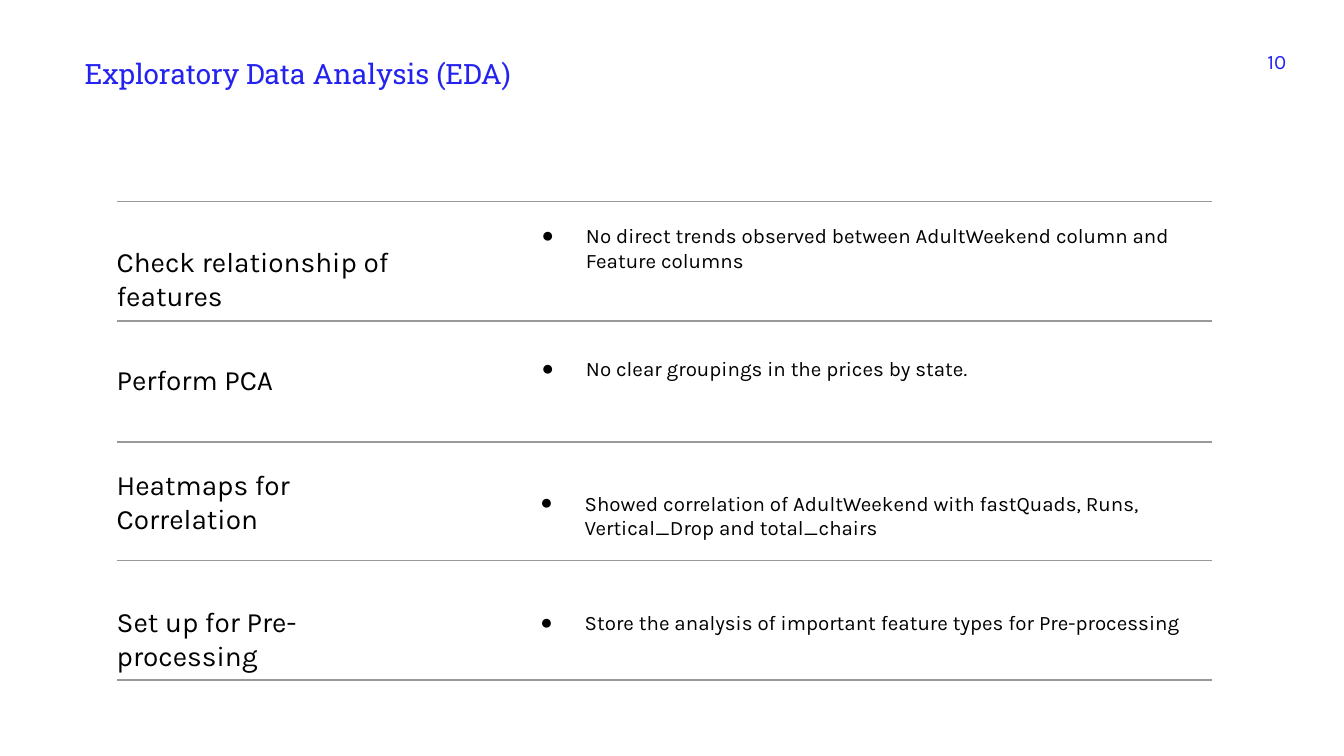
import dataclasses

import pptx
import pptx.dml.color
import pptx.enum.shapes
import pptx.enum.text
import pptx.oxml.ns
import pptx.util
from lxml import etree

Inches = pptx.util.Inches
Pt = pptx.util.Pt
Align = pptx.enum.text.PP_ALIGN
qn = pptx.oxml.ns.qn


@dataclasses.dataclass(frozen=True)
class Theme:
    head: str = "Roboto Slab"
    body: str = "Karla"
    dot: str = "Arial"
    blue: str = "2322EF"
    ink: str = "000000"
    rule: str = "999999"
    large: float = 15
    small: float = 11
    thin: float = 0.75


THEME = Theme()

# Label, label top, finding, finding box (left, top, width, height)
STEPS = [
    ("Check relationship of features", 1.72,
     "No direct trends observed between AdultWeekend column and Feature columns",
     (3.76, 1.56, 5.26, 0.77)),
    ("Perform PCA", 2.6,
     "No clear groupings in the prices by state.",
     (3.76, 2.55, 5.26, 0.58)),
    ("Heatmaps for Correlation", 3.38,
     "Showed correlation of AdultWeekend with fastQuads, Runs, "
     "Vertical_Drop and total_chairs",
     (3.75, 3.55, 5.26, 0.36)),
    ("Set up for Pre-processing", 4.4,
     "Store the analysis of important feature types for Pre-processing",
     (3.75, 4.44, 5.26, 0.34)),
]
RULES = (1.5, 2.39, 3.29, 4.17, 5.06)


def color(code):
    return pptx.dml.color.RGBColor.from_string(code)


def write(shape, box, text, size, tint=THEME.ink, font=THEME.body,
          align=Align.LEFT):
    """Place a text shape, then fill and format its one paragraph."""
    shape.left, shape.top, shape.width, shape.height = map(Inches, box)
    frame = shape.text_frame
    frame.text = text
    frame.word_wrap = True
    frame.auto_size = pptx.enum.text.MSO_AUTO_SIZE.NONE
    frame.vertical_anchor = pptx.enum.text.MSO_ANCHOR.TOP
    frame.margin_left = frame.margin_right = Inches(0.1)
    frame.margin_top = frame.margin_bottom = Inches(0.1)
    para = frame.paragraphs[0]
    para.alignment = align
    para.space_before = Pt(0)
    for run in para.runs:
        run.font.name = font
        run.font.size = Pt(size)
        run.font.bold = False
        run.font.color.rgb = color(tint)
    return para


def add_text(slide, box, *args, **style):
    shape = slide.shapes.add_textbox(*map(Inches, box))
    write(shape, box, *args, **style)


def add_dot(para):
    """Give a paragraph a round bullet and a hanging indent."""
    props = para._p.get_or_add_pPr()
    props.set("marL", str(Inches(0.5)))
    props.set("indent", str(Inches(-0.33)))
    tint = etree.SubElement(props, qn("a:buClr"))
    etree.SubElement(tint, qn("a:srgbClr"), val=THEME.ink)
    etree.SubElement(props, qn("a:buFont"), typeface=THEME.dot)
    etree.SubElement(props, qn("a:buChar"), char="●")


def add_rule(slide, top):
    line = slide.shapes.add_connector(
        pptx.enum.shapes.MSO_CONNECTOR.STRAIGHT,
        Inches(0.87), Inches(top), Inches(9.02), Inches(top))
    line.line.color.rgb = color(THEME.rule)
    line.line.width = Pt(THEME.thin)
    etree.SubElement(line._element.spPr, qn("a:effectLst"))


def main():
    deck = pptx.Presentation()
    # Widescreen, 16 to 9
    deck.slide_width = Inches(10)
    deck.slide_height = deck.slide_width * 9 // 16
    # The Comparison layout has a title and four body placeholders
    slide = deck.slides.add_slide(deck.slide_layouts.get_by_name("Comparison"))
    title, *bodies = slide.placeholders

    # Heading and page number
    write(title, (0.53, 0.32, 3.93, 0.37), "Exploratory Data Analysis (EDA)",
          THEME.large, THEME.blue, THEME.head)
    add_text(slide, (9.29, 0.27, 0.38, 0.19), "10", THEME.small, THEME.blue,
             align=Align.RIGHT)

    # Steps and their findings
    for body, (label, top, note, box) in zip(bodies, STEPS):
        add_text(slide, (0.77, top, 2.23, 0.42), label, THEME.large)
        add_dot(write(body, box, note, THEME.small))

    # Rules between the rows
    for top in RULES:
        add_rule(slide, top)

    deck.save("out.pptx")


if __name__ == "__main__":
    main()
